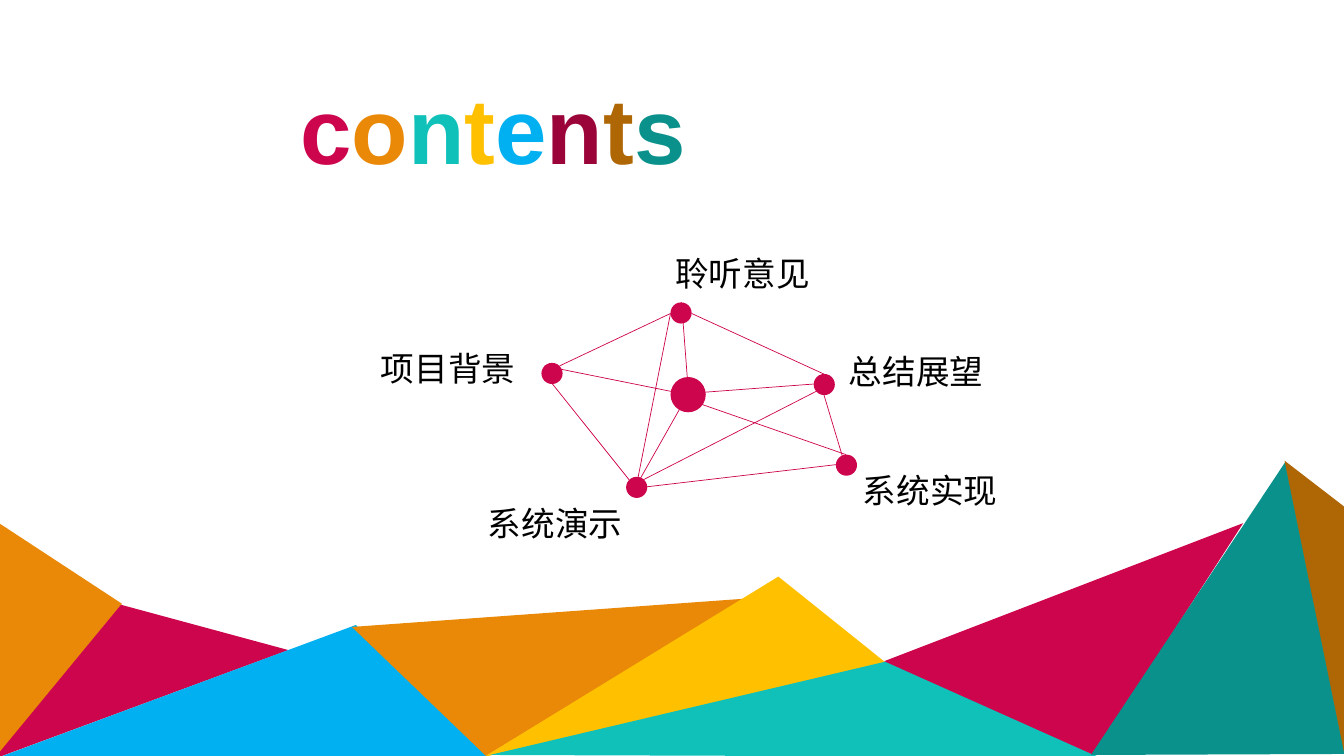
"""Build a contents slide with a network of topics above a faceted mountain range."""
import pptx
import pptx.dml.color
import pptx.enum.shapes
import pptx.enum.text
import pptx.oxml.ns
import pptx.util
from lxml import etree

Inches = pptx.util.Inches
FONT = "Arial"
COLORS = {
    "crimson": "CD054C", "orange": "EA8908", "turquoise": "0FC1B9",
    "yellow": "FFC000", "blue": "00B0F0", "wine": "9A0439",
    "brown": "AF6706", "teal": "0B918B", "black": "000000",
}
MOUNTAINS = [
    ("orange", [(-0.04, 7.52), (-0.04, 5.17), (1.21, 5.99)]),
    ("crimson", [(-0.06, 7.53), (1.2, 6), (2.86, 6.45)]),
    ("blue", [(-0.03, 7.52), (3.53, 6.2), (4.86, 7.51)]),
    ("orange", [(3.49, 6.22), (7.38, 5.94), (4.82, 7.5)]),
    ("yellow", [(8.78, 6.57), (4.8, 7.51), (7.72, 5.72)]),
    ("turquoise", [(10.9, 7.51), (4.86, 7.49), (8.8, 6.56)]),
    ("crimson", [(10.85, 7.49), (8.77, 6.56), (12.33, 5.19)]),
    ("teal", [(13.37, 7.48), (10.82, 7.49), (12.75, 4.58)]),
    ("brown", [(13.35, 5.04), (13.33, 7.46), (12.74, 4.57)]),
]
TITLE = "contents"
TITLE_COLORS = ["crimson", "orange", "turquoise", "yellow",
                "blue", "wine", "brown", "teal"]
TOPICS = [
    ("聆听意见", (6.65, 3), (6.6, 2.46)),
    ("项目背景", (5.37, 3.6), (3.68, 3.4)),
    ("总结展望", (8.07, 3.71), (8.32, 3.43)),
    ("系统实现", (8.29, 4.51), (8.46, 4.61)),
    ("系统演示", (6.21, 4.73), (4.74, 4.94)),
]
HUB = (6.65, 3.74)
LINKS = [
    ((6.65, 3.11), (5.55, 3.63)), ((5.48, 3.81), (6.24, 4.76)),
    ((6.41, 4.83), (8.29, 4.61)), ((8.38, 4.61), (8.17, 3.91)),
    ((8.17, 3.71), (6.86, 3.11)), ((5.4, 3.63), (6.79, 3.91)),
    ((6.76, 3), (6.83, 3.92)), ((6.31, 4.82), (6.87, 3.83)),
    ((6.87, 3.9), (8.07, 3.81)), ((8.39, 4.51), (6.87, 3.98)),
    ((6.38, 4.76), (8.1, 3.88)), ((6.65, 3.11), (6.31, 4.83)),
]


def rgb(name):
    """Return the named colour."""
    return pptx.dml.color.RGBColor.from_string(COLORS[name])


def paint(sp, color):
    """Give a shape a plain fill with no outline or shadow."""
    sp.fill.solid()
    sp.fill.fore_color.rgb = rgb(color)
    sp.line.fill.background()
    sp.shadow.inherit = False


def format_run(r, size, color, bold=False):
    """Set the font of a run."""
    r.font.name = FONT
    r.font.size = pptx.util.Pt(size)
    r.font.bold = bold
    r.font.color.rgb = rgb(color)


def add_mountain(s, color, points):
    """Draw one filled facet through the given points."""
    start, *rest = [(Inches(x), Inches(y)) for x, y in points]
    builder = s.shapes.build_freeform(*start)
    builder.add_line_segments(rest, close=True)
    paint(builder.convert_to_shape(), color)


def add_dot(s, corner, size):
    """Draw a round node with its top left corner at the given place."""
    x, y = corner
    oval = pptx.enum.shapes.MSO_SHAPE.OVAL
    sp = s.shapes.add_shape(oval, Inches(x), Inches(y), Inches(size), Inches(size))
    paint(sp, "crimson")


def add_link(s, start, end):
    """Draw a thin straight line between two points."""
    straight = pptx.enum.shapes.MSO_CONNECTOR.STRAIGHT
    line = s.shapes.add_connector(straight, *[Inches(v) for v in start + end])
    line.line.color.rgb = rgb("crimson")
    line.line.width = pptx.util.Pt(0.5)
    etree.SubElement(line._element.spPr, pptx.oxml.ns.qn("a:effectLst"))


def add_label(s, text, corner):
    """Write a topic name."""
    x, y = corner
    sp = s.shapes.add_textbox(Inches(x), Inches(y), Inches(1.62), Inches(0.5))
    tf = sp.text_frame
    tf.word_wrap = True
    tf.text = text
    format_run(tf.paragraphs[0].runs[0], 24, "black")


def set_title(s):
    """Place the title and colour each of its letters."""
    sp = s.shapes.title
    sp.left, sp.top = Inches(2.88), Inches(0.67)
    sp.width, sp.height = Inches(5.33), Inches(1.21)
    tf = sp.text_frame
    tf.auto_size = pptx.enum.text.MSO_AUTO_SIZE.NONE
    tf.vertical_anchor = pptx.enum.text.MSO_ANCHOR.TOP
    p = tf.paragraphs[0]
    p.alignment = pptx.enum.text.PP_ALIGN.LEFT
    for letter, color in zip(TITLE, TITLE_COLORS):
        r = p.add_run()
        r.text = letter
        format_run(r, 66, color, bold=True)


def main():
    """Build and save the slide."""
    prs = pptx.Presentation()
    prs.slide_width, prs.slide_height = Inches(13.33), Inches(7.5)
    s = prs.slides.add_slide(prs.slide_layouts.get_by_name("Title Only"))
    for color, points in MOUNTAINS:
        add_mountain(s, color, points)
    set_title(s)
    for text, dot, label in TOPICS:
        add_dot(s, dot, 0.21)
        add_label(s, text, label)
    add_dot(s, HUB, 0.35)
    for start, end in LINKS:
        add_link(s, start, end)
    prs.save("out.pptx")


if __name__ == "__main__":
    main()
